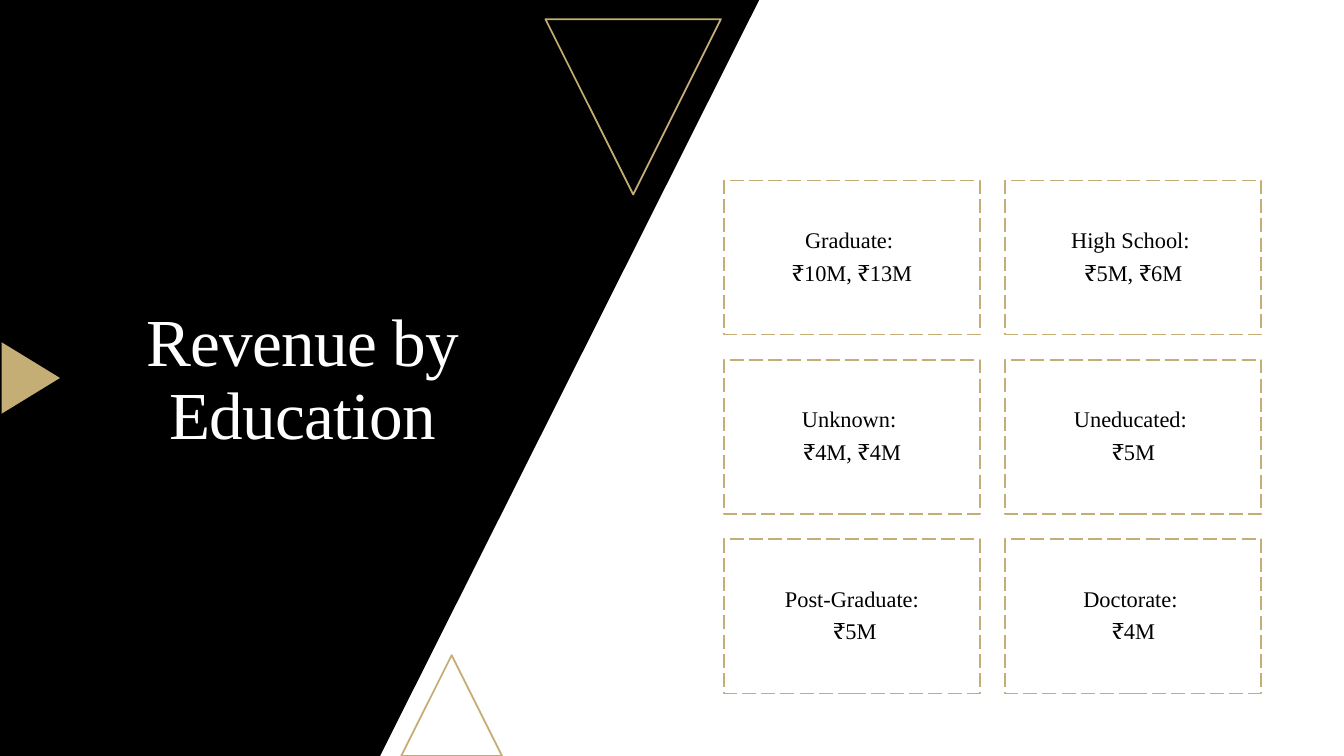
from pptx import Presentation
from pptx.dml.color import RGBColor
from pptx.enum.dml import MSO_LINE
from pptx.enum.shapes import MSO_SHAPE
from pptx.enum.text import MSO_ANCHOR, PP_ALIGN
from pptx.util import Pt

PX = 9144
GOLD = "C4AE75"
BLACK = "000000"
WHITE = "FFFFFF"


def color(value):
    return RGBColor.from_string(value)


def add_line(para, text, size, ink):
    para.alignment = PP_ALIGN.CENTER
    para.line_spacing = 0.9
    span = para.add_run()
    span.text = text
    span.font.name = "Times New Roman"
    span.font.size = Pt(size)
    span.font.color.rgb = color(ink)
    return span


deck = Presentation()
deck.slide_width = 1333 * PX
deck.slide_height = 750 * PX
page = deck.slides.add_slide(deck.slide_layouts[6])
page.background.fill.solid()
page.background.fill.fore_color.rgb = color(WHITE)

outline = page.shapes.build_freeform(0, 0, scale=PX)
outline.add_line_segments([(753, 0), (377, 750), (0, 750)], close=True)
panel = outline.convert_to_shape()
panel.shadow.inherit = False
panel.fill.solid()
panel.fill.fore_color.rgb = color(BLACK)
panel.line.fill.background()

triangles = [
    (398, 650, 100, 100, 0, False),
    (541, 19, 174, 174, 180, False),
    (-5, 346, 71, 58, 90, True),
]
for left, top, width, height, rotation, filled in triangles:
    triangle = page.shapes.add_shape(
        MSO_SHAPE.ISOSCELES_TRIANGLE, left * PX, top * PX, width * PX, height * PX
    )
    triangle.rotation = rotation
    triangle.shadow.inherit = False
    if filled:
        triangle.fill.solid()
        triangle.fill.fore_color.rgb = color(GOLD)
        triangle.line.fill.background()
    else:
        triangle.fill.background()
        triangle.line.color.rgb = color(GOLD)
        triangle.line.width = Pt(1.25)

revenues = [
    ("Graduate: ", "₹10M, ₹13M"),
    ("High School: ", "₹5M, ₹6M"),
    ("Unknown: ", "₹4M, ₹4M"),
    ("Uneducated: ", "₹5M"),
    ("Post-Graduate:", " ₹5M"),
    ("Doctorate: ", "₹4M"),
]
for index, (level, amount) in enumerate(revenues):
    row, column = divmod(index, 2)
    box = page.shapes.add_shape(
        MSO_SHAPE.RECTANGLE,
        (718 + 279 * column) * PX,
        (179 + 178 * row) * PX,
        254 * PX,
        153 * PX,
    )
    box.shadow.inherit = False
    box.fill.background()
    box.line.color.rgb = color(GOLD)
    box.line.width = Pt(1.25)
    box.line.dash_style = MSO_LINE.LONG_DASH
    frame = box.text_frame
    frame.word_wrap = True
    frame.vertical_anchor = MSO_ANCHOR.MIDDLE
    frame.margin_left = frame.margin_right = 7 * PX
    frame.margin_top = frame.margin_bottom = 7 * PX
    for para, text in ((frame.paragraphs[0], level), (frame.add_paragraph(), amount)):
        add_line(para, text, 16, BLACK)
        para.space_after = Pt(6)

title = page.shapes.add_textbox(60 * PX, 214 * PX, 480 * PX, 328 * PX)
title.text_frame.word_wrap = True
title.text_frame.vertical_anchor = MSO_ANCHOR.MIDDLE
heading = add_line(title.text_frame.paragraphs[0], "Revenue by Education", 48, WHITE)
heading.font._element.set("spc", "-50")

deck.save("out.pptx")
